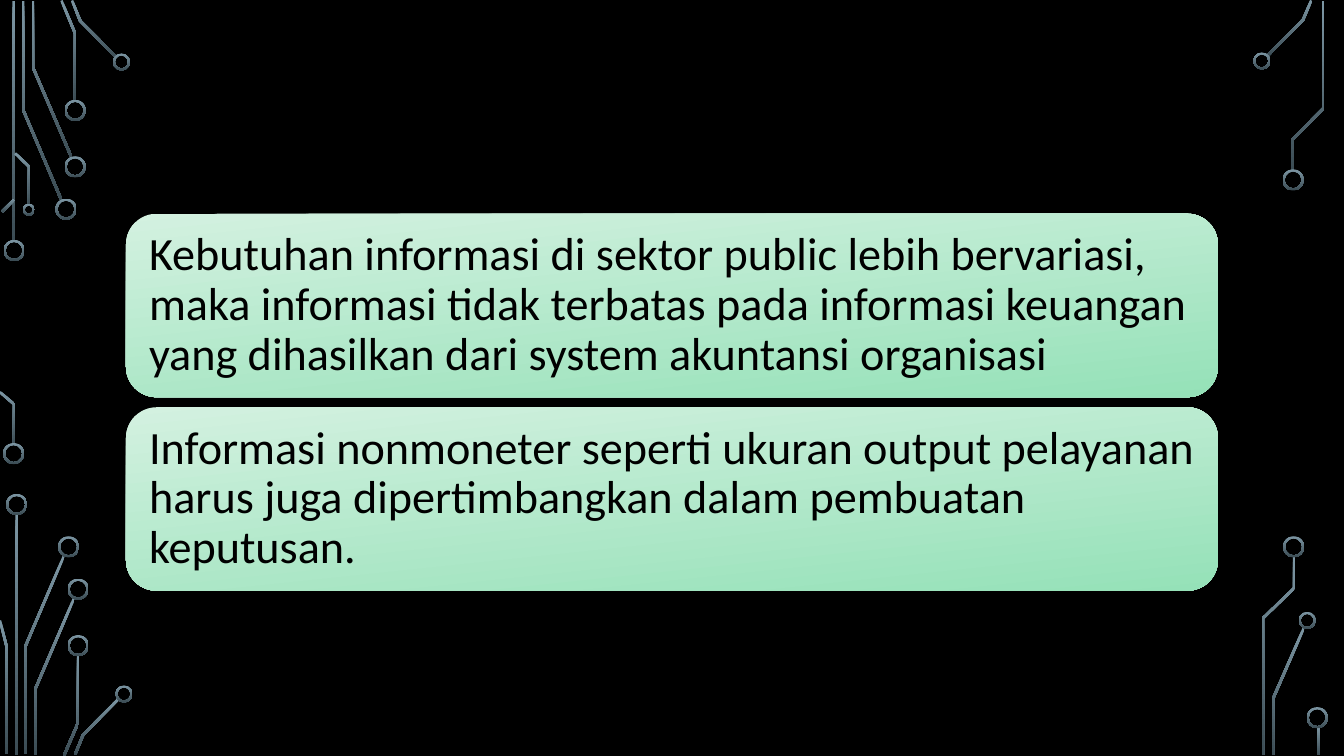
"""Build a slide with two mint panels framed by circuit traces."""
import math
from dataclasses import dataclass

import pptx
import pptx.dml.color
import pptx.enum.shapes
import pptx.enum.text
import pptx.util

COLS, ROWS = 1333, 750
CELL = pptx.util.Inches(0.01)
THICK = 2.5
RIM = 2
STEEL = ("7C96A3", "3B4C54")
MINT = ("D3F1E0", "95E1B8")
KIND = pptx.enum.shapes.MSO_SHAPE

Point = tuple[float, float]


@dataclass
class Wire:
    """Centre line of a trace, in grid cells."""
    points: list[Point]


@dataclass
class Ring:
    """Round pad at the end of a trace, in grid cells."""
    col: float
    row: float
    size: float = 21


@dataclass
class Panel:
    """Rounded panel with its text, in grid cells."""
    row: float
    text: str
    col: float = 125
    width: float = 1083
    height: float = 182


WIRES = [
    Wire([(13.5, 1), (13.5, 240)]),
    Wire([(23, 1), (23, 109), (61, 198.5)]),
    Wire([(32.5, 1), (32.5, 66.5), (71, 156.5)]),
    Wire([(61, 0.5), (74.5, 33), (74.5, 100)]),
    Wire([(71.5, 0.5), (79.5, 20.5), (115.5, 57)]),
    Wire([(2, 210), (14, 198)]),
    Wire([(0, 389), (14, 401), (14, 441)]),
    Wire([(15, 152), (29, 165.5), (29, 203)]),
    Wire([(16.5, 510), (16.5, 749)]),
    Wire([(25.5, 748), (25.5, 640.5), (63.5, 551.5)]),
    Wire([(0, 615.5), (6.5, 641), (6.5, 748)]),
    Wire([(35.5, 749), (35.5, 682.5), (73.5, 593.5)]),
    Wire([(63.5, 749.5), (77.5, 717), (77.5, 650)]),
    Wire([(74.5, 748.5), (82.5, 729), (118, 693)]),
    Wire([(1257, 55.5), (1292.5, 19.5), (1300.5, 0.5)]),
    Wire([(1262.5, 749), (1262.5, 693.5), (1293, 623.5)]),
    Wire([(1282, 169), (1282, 138.5), (1312.5, 107.5), (1312.5, 1)]),
    Wire([(1252.5, 749), (1252.5, 613.5), (1283.5, 583.5), (1283.5, 552)]),
    Wire([(1307.5, 721), (1307.5, 749)]),
]
RINGS = [
    Ring(14, 248.5), Ring(13.5, 450), Ring(65.5, 207.5), Ring(74.5, 165.5),
    Ring(74.5, 109.5), Ring(120.5, 61.5, 17), Ring(28.5, 208, 12),
    Ring(16.5, 500.5), Ring(68, 542.5), Ring(77.5, 584.5), Ring(77.5, 640.5),
    Ring(123, 688.5, 17), Ring(1251.5, 60.5, 17), Ring(1282.5, 178.5),
    Ring(1296.5, 615.5, 17), Ring(1283, 542.5), Ring(1306.5, 712),
]
PANELS = [
    Panel(212, "Kebutuhan informasi di sektor public lebih bervariasi, maka "
               "informasi tidak terbatas pada informasi keuangan yang "
               "dihasilkan dari system akuntansi organisasi"),
    Panel(404, "Informasi nonmoneter seperti ukuran output pelayanan harus "
               "juga dipertimbangkan dalam pembuatan keputusan."),
]


def cells(count: float) -> int:
    """Turn grid cells into slide units."""
    return round(count * CELL)


def tint(code: str) -> pptx.dml.color.RGBColor:
    """Turn a hex string into a colour."""
    return pptx.dml.color.RGBColor.from_string(code)


def shade(shape, pair: tuple[str, str], angle: float) -> None:
    """Fill a shape with a clockwise gradient and drop line and shadow."""
    shape.shadow.inherit = False
    shape.line.fill.background()
    shape.fill.gradient()
    shape.fill.gradient_angle = 360 - angle
    for stop, code in zip(shape.fill.gradient_stops, pair):
        stop.color.rgb = tint(code)


def edge(points: list[Point], half: float) -> list[Point]:
    """Shift a line sideways, with mitred corners."""
    sides = []
    for (ax, ay), (bx, by) in zip(points, points[1:]):
        span = math.hypot(bx - ax, by - ay)
        sides.append(((ay - by) / span, (bx - ax) / span))
    moved = []
    for (x, y), (px, py), (qx, qy) in zip(
            points, sides[:1] + sides, sides + sides[-1:]):
        reach = half / (1 + px * qx + py * qy)
        moved.append((x + reach * (px + qx), y + reach * (py + qy)))
    return moved


def add_wire(slide, wire: Wire) -> None:
    """Draw a trace as a thin closed outline."""
    left, right = (edge(wire.points, half) for half in (THICK / 2, -THICK / 2))
    first, *rest = [(cells(x), cells(y)) for x, y in left + right[::-1]]
    pen = slide.shapes.build_freeform(*first)
    pen.add_line_segments(rest, close=True)
    shade(pen.convert_to_shape(), STEEL, 90)


def add_ring(slide, ring: Ring) -> None:
    """Draw a pad around its centre."""
    half = ring.size / 2
    box = (ring.col - half, ring.row - half, ring.size, ring.size)
    shape = slide.shapes.add_shape(KIND.DONUT, *map(cells, box))
    shape.adjustments[0] = RIM / ring.size
    shade(shape, STEEL, 90)


def add_panel(slide, panel: Panel) -> None:
    """Draw a panel and its paragraph."""
    box = (panel.col, panel.row, panel.width, panel.height)
    shape = slide.shapes.add_shape(KIND.ROUNDED_RECTANGLE, *map(cells, box))
    shade(shape, MINT, 84)
    frame = shape.text_frame
    frame.word_wrap = True
    frame.vertical_anchor = pptx.enum.text.MSO_ANCHOR.MIDDLE
    frame.margin_left = frame.margin_right = cells(14)
    frame.margin_top = frame.margin_bottom = cells(14)
    frame.text = panel.text
    line = frame.paragraphs[0]
    line.alignment = pptx.enum.text.PP_ALIGN.LEFT
    line.line_spacing = 0.9
    font = line.runs[0].font
    font.name, font.size = "Calibri", pptx.util.Pt(33)
    font.color.rgb = tint("000000")


def main() -> None:
    """Build and save the deck."""
    deck = pptx.Presentation()
    deck.slide_width, deck.slide_height = cells(COLS), cells(ROWS)
    slide = deck.slides.add_slide(deck.slide_layouts[6])
    slide.background.fill.solid()
    slide.background.fill.fore_color.rgb = tint("000000")
    for wire in WIRES:
        add_wire(slide, wire)
    for ring in RINGS:
        add_ring(slide, ring)
    for panel in PANELS:
        add_panel(slide, panel)
    deck.save("out.pptx")


if __name__ == "__main__":
    main()
